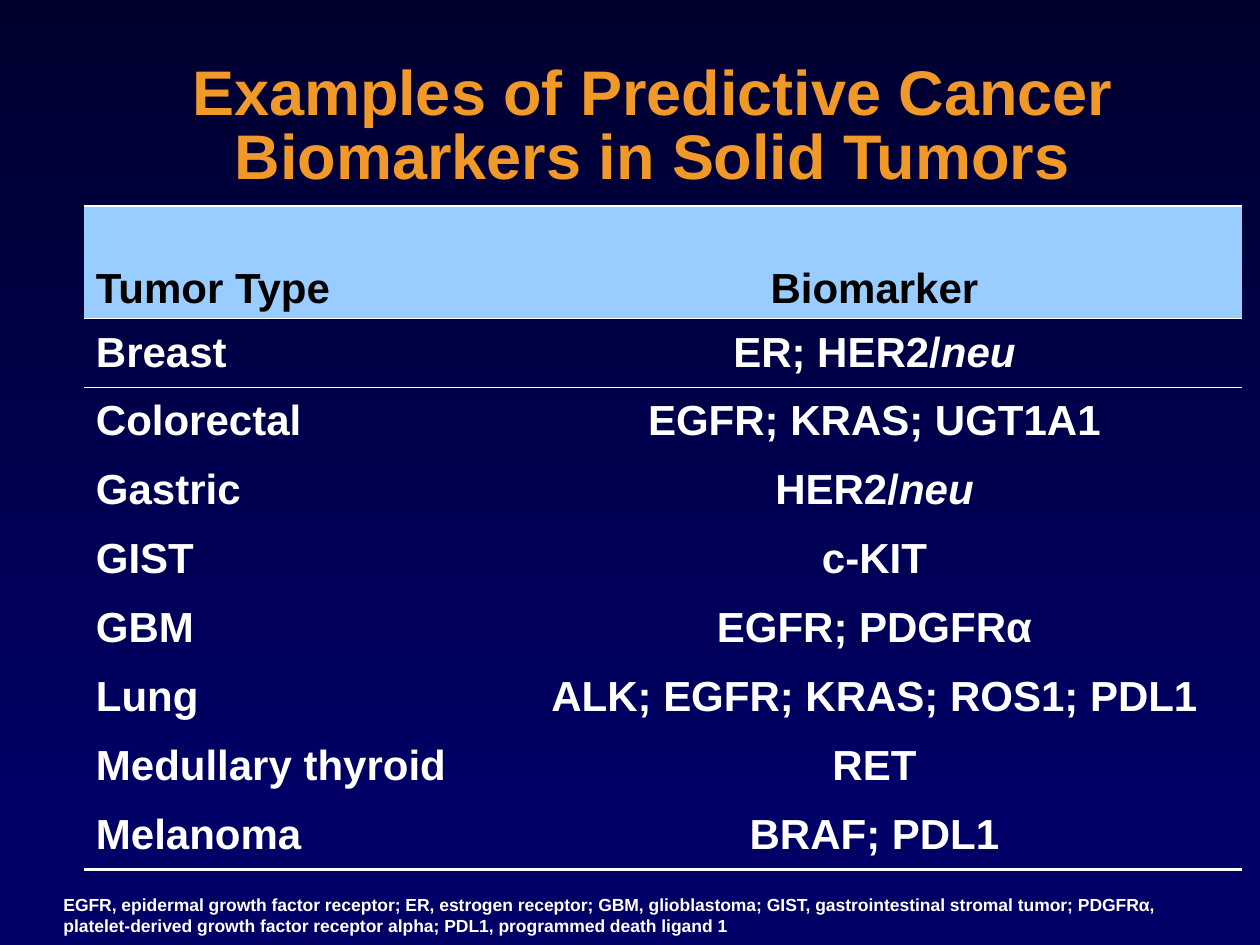
"""Build a slide with a table of predictive biomarkers in solid tumors."""
from lxml import etree
from pptx import Presentation, util as u
from pptx.dml.color import RGBColor
from pptx.enum import shapes, text
from pptx.oxml.ns import qn

PX = 914400 / 126
NO_STYLE = "{2D5ABB26-0587-4C30-8999-92F81FD0307C}"
LEFT, CENTER = text.PP_ALIGN.LEFT, text.PP_ALIGN.CENTER


def rgb(value):
    return RGBColor.from_string(value)


def add_runs(p, parts, size, color, align):
    p.alignment = align
    for words, italic in parts:
        r = p.add_run()
        r.text = words
        r.font.name = "Arial"
        r.font.size = u.Pt(size)
        r.font.bold = True
        r.font.italic = italic
        r.font.color.rgb = rgb(color)


prs = Presentation()
prs.slide_width, prs.slide_height = u.Inches(10), u.Inches(7.5)
s = prs.slides.add_slide(prs.slide_layouts[6])
s.background.fill.solid()
s.background.fill.fore_color.rgb = rgb("000066")

sp = s.shapes.add_shape(shapes.MSO_SHAPE.RECTANGLE, 0, 0, prs.slide_width, int(809 * PX))
sp.shadow.inherit = False
sp.line.fill.background()
sp.fill.gradient()
sp.fill.gradient_angle = 270
for stop, color in zip(sp.fill.gradient_stops, ("00002F", "000066")):
    stop.color.rgb = rgb(color)

rows = [
    ("Tumor Type", [("Biomarker", False)]),
    ("Breast", [("ER; HER2/", False), ("neu", True)]),
    ("Colorectal", [("EGFR; KRAS; UGT1A1", False)]),
    ("Gastric", [("HER2/", False), ("neu", True)]),
    ("GIST", [("c-KIT", False)]),
    ("GBM", [("EGFR; PDGFRα", False)]),
    ("Lung", [("ALK; EGFR; KRAS; ROS1; PDL1", False)]),
    ("Medullary thyroid", [("RET", False)]),
    ("Melanoma", [("BRAF; PDL1", False)]),
]
last = len(rows) - 1
borders = {0: {"T": 1.47, "B": 0.45}, 1: {"T": 0.45}, last: {"B": 1.47}}

frame = s.shapes.add_table(len(rows), 2, *(int(v * PX) for v in (84, 206, 1158, 664)))
table = frame.table
table.first_row = table.horz_banding = False
frame._element.find(".//" + qn("a:tableStyleId")).text = NO_STYLE
for column, width in zip(table.columns, (423, 735)):
    column.width = int(width * PX)

for i, (tumor, markers) in enumerate(rows):
    header = i == 0
    table.rows[i].height = int((112 if header else 69) * PX)
    for j, parts in enumerate(([(tumor, False)], markers)):
        cell = table.cell(i, j)
        cell.margin_left = cell.margin_right = int(12 * PX)
        cell.margin_top = cell.margin_bottom = int(6 * PX)
        cell.vertical_anchor = text.MSO_ANCHOR.BOTTOM if header else text.MSO_ANCHOR.MIDDLE
        tc_pr = cell._tc.get_or_add_tcPr()
        for side, width in borders.get(i, {}).items():
            ln = etree.SubElement(tc_pr, qn("a:ln" + side), w=str(u.Pt(width)))
            fill = etree.SubElement(ln, qn("a:solidFill"))
            etree.SubElement(fill, qn("a:srgbClr"), val="FFFFFF")
        if header:
            cell.fill.solid()
            cell.fill.fore_color.rgb = rgb("99CCFF")
        else:
            cell.fill.background()
        add_runs(cell.text_frame.paragraphs[0], parts, 24,
                 "000000" if header else "FFFFFF", CENTER if j else LEFT)

title = "Examples of Predictive Cancer Biomarkers in Solid Tumors"
abbreviations = (
    "EGFR, epidermal growth factor receptor; ER, estrogen receptor; GBM, glioblastoma; "
    "GIST, gastrointestinal stromal tumor; PDGFRα, platelet-derived growth factor receptor "
    "alpha; PDL1, programmed death ligand 1"
)
for box, words, size, color, align, spacing in (
    ((75, 58, 1155, 205), title, 36, "F09828", CENTER, 0.85),
    ((51, 888, 1167, 55), abbreviations, 10, "FFFFFF", LEFT, 1.0),
):
    tf = s.shapes.add_textbox(*(int(v * PX) for v in box)).text_frame
    tf.word_wrap = True
    p = tf.paragraphs[0]
    p.line_spacing = spacing
    add_runs(p, [(words, False)], size, color, align)

prs.save("out.pptx")
